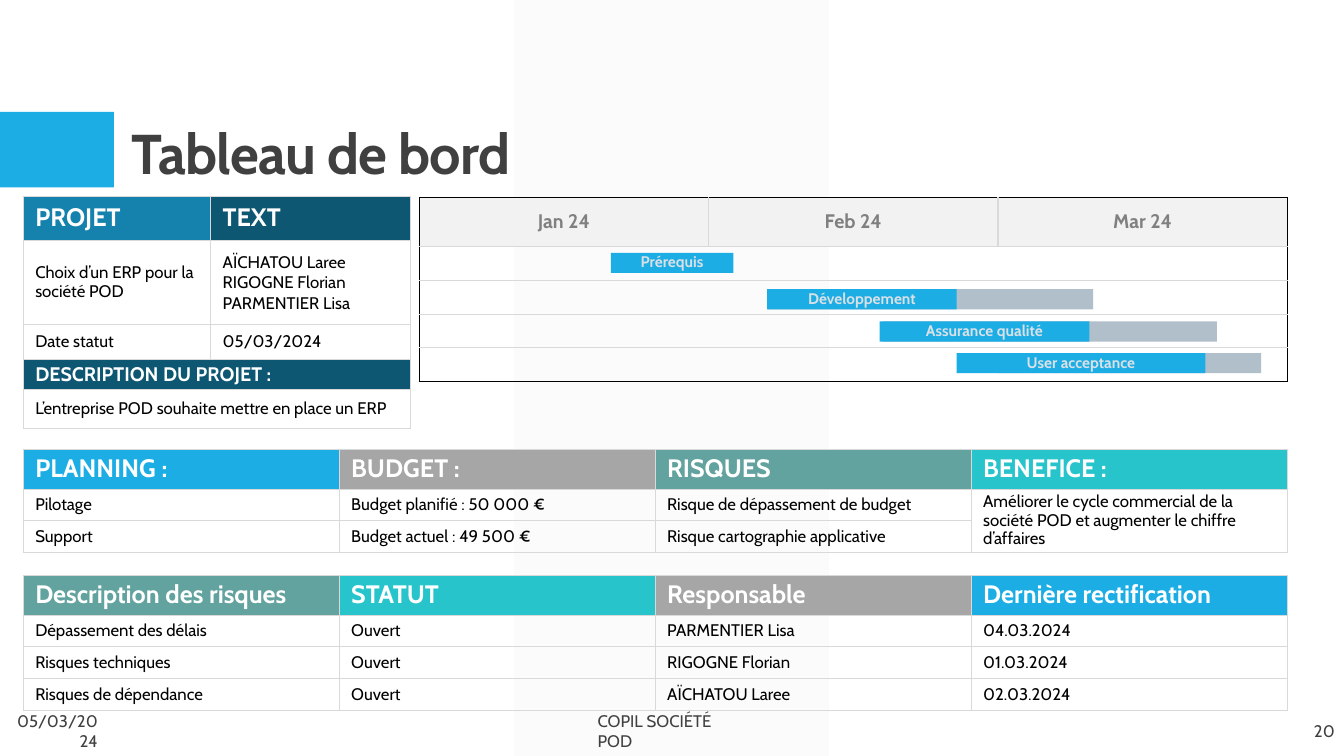
from lxml.etree import SubElement
from pptx import Presentation
from pptx.dml.color import RGBColor
from pptx.enum.shapes import MSO_SHAPE
from pptx.enum.text import MSO_ANCHOR, MSO_AUTO_SIZE, PP_ALIGN
from pptx.oxml.ns import qn
from pptx.util import Pt

COLORS = {
    "blue": "1CADE4", "mid_blue": "1482AC", "navy": "0E5772", "grey": "A6A6A6",
    "sage": "62A39F", "teal": "28C4CC", "light": "F2F2F2", "line": "D9D9D9",
    "month": "808080", "slack": "B1BFCB", "bar_text": "D9E0E6",
    "dark": "404040", "black": "000000", "white": "FFFFFF",
}
FORMATS = {
    "title": {"size": 40, "bold": True, "color": "dark"},
    "heading": {"size": 18, "bold": True, "color": "white"},
    "subheading": {"size": 14, "bold": True, "color": "white"},
    "month": {"size": 14, "bold": True, "color": "month"},
    "body": {"size": 12, "bold": False, "color": "black"},
    "bar": {"size": 11, "bold": True, "color": "bar_text"},
    "footer": {"size": 12, "bold": False, "color": "dark"},
}
SPACED = {"line_spacing": 0.9, "space_after": Pt(10)}
LEFT, MARGIN = 16.6, 8.6


def rgb(name):
    return RGBColor.from_string(COLORS[name])


def write(tf, text, style, **paragraph):
    p = tf.paragraphs[0]
    for name, value in paragraph.items():
        setattr(p, name, value)
    r = p.add_run()
    r.text = text
    f = FORMATS[style]
    values = {"name": "Cabin", "size": Pt(f["size"]), "bold": f["bold"]}
    for name, value in values.items():
        setattr(r.font, name, value)
    r.font.color.rgb = rgb(f["color"])
    return r


def add_block(shapes, box, color, kind=MSO_SHAPE.RECTANGLE):
    sp = shapes.add_shape(kind, *map(Pt, box))
    sp.shadow.inherit = False
    sp.fill.solid()
    sp.fill.fore_color.rgb = rgb(color)
    sp.line.fill.background()
    return sp


def add_band(s):
    sp = add_block(s.shapes, (367, 0, 225, 540), "light", MSO_SHAPE.PARALLELOGRAM)
    sp.adjustments[0] = 0
    color = sp.fill._xPr.find(qn("a:solidFill"))[0]
    SubElement(color, qn("a:alpha"), val="30000")


def set_borders(cell, colors):
    tcPr = cell._tc.get_or_add_tcPr()
    for side, color in zip("LRTB", colors):
        ln = SubElement(tcPr, qn(f"a:ln{side}"), w=str(Pt(1)))
        if color:
            fill = SubElement(ln, qn("a:solidFill"))
            SubElement(fill, qn("a:srgbClr"), val=COLORS[color])
        else:
            SubElement(ln, qn("a:noFill"))


def set_cell(cell, text, style, fill, margins, align):
    for side, value in zip(("left", "top", "right", "bottom"), margins):
        setattr(cell, f"margin_{side}", Pt(value))
    cell.vertical_anchor = MSO_ANCHOR.MIDDLE
    if fill:
        cell.fill.solid()
        cell.fill.fore_color.rgb = rgb(fill)
    else:
        cell.fill.background()
    if text:
        write(cell.text_frame, text, style, alignment=align, **SPACED)
    else:
        end = cell.text_frame.paragraphs[0]._p.get_or_add_endParaRPr()
        end.set("sz", "1200")


def grid_borders(row, col, rows, cols):
    return ["line"] * 4


def gantt_borders(row, col, rows, cols):
    inner = None if row else "line"
    return ["black" if col == 0 else inner,
            "black" if col == cols - 1 else inner,
            "black" if row == 0 else "line",
            "black" if row == rows - 1 else "line"]


def add_table(s, at, widths, heights, rows, styles, fills, margins,
              borders=grid_borders, merges=(), align=PP_ALIGN.LEFT):
    size = len(heights), len(widths)
    t = s.shapes.add_table(*size, *map(Pt, (*at, sum(widths), sum(heights)))).table
    t.first_row = t.horz_banding = False
    for col, width in zip(t.columns, widths):
        col.width = Pt(width)
    for row, height in zip(t.rows, heights):
        row.height = Pt(height)
    for i, row in enumerate(rows):
        for j, text in enumerate(row):
            cell = t.cell(i, j)
            set_borders(cell, borders(i, j, *size))
            fill = fills[i][j] if i in fills else None
            set_cell(cell, text, styles.get(i, "body"), fill, margins, align)
    for first, last in merges:
        t.cell(*first).merge(t.cell(*last))
    return t


def add_bar(s, label, top, left, width, slack=None):
    shapes = s.shapes
    if slack:
        shapes = s.shapes.add_group_shape().shapes
        add_block(shapes, (slack[0], top, slack[1], 14.4), "slack")
    sp = add_block(shapes, (left, top, width, 14.4), "blue")
    tf = sp.text_frame
    tf.word_wrap = False
    tf.vertical_anchor = MSO_ANCHOR.MIDDLE
    write(tf, label, "bar", alignment=PP_ALIGN.CENTER, **SPACED)


def add_footer(s, text, left, width, align):
    tf = s.shapes.add_textbox(*map(Pt, (left, 507.6, width, 28.8))).text_frame
    tf.word_wrap = True
    tf.vertical_anchor = MSO_ANCHOR.MIDDLE
    write(tf, text, "footer", alignment=align)


def set_title(s, text):
    sp = s.shapes.title
    box = {"left": 86.4, "top": 22.3, "width": 792, "height": 114.5}
    for name, value in box.items():
        setattr(sp, name, Pt(value))
    tf = sp.text_frame
    tf.auto_size = MSO_AUTO_SIZE.NONE
    tf.vertical_anchor = MSO_ANCHOR.BOTTOM
    r = write(tf, text, "title", alignment=PP_ALIGN.LEFT, line_spacing=0.9)
    r.font._rPr.set("spc", "-50")
    s.shapes._spTree.append(sp._element)


def main():
    prs = Presentation()
    prs.slide_width, prs.slide_height = Pt(960), Pt(540)
    s = prs.slides.add_slide(prs.slide_layouts[5])
    add_band(s)
    add_block(s.shapes, (0, 79.9, 81.4, 54), "blue")

    project = add_table(
        s, (LEFT, 140.4), (133.9, 142.6), (31.5, 60, 25.2, 21.3, 27.6),
        [("PROJET", "TEXT"),
         ("Choix d’un ERP pour la société POD",
          "AÏCHATOU Laree RIGOGNE Florian PARMENTIER Lisa"),
         ("Date statut", "05/03/2024"),
         ("DESCRIPTION DU PROJET :", None),
         ("L’entreprise POD souhaite mettre en place un ERP", None)],
        {0: "heading", 3: "subheading"},
        {0: ("mid_blue", "navy"), 3: ("navy", "navy")},
        (MARGIN, 0, MARGIN, 0), merges=[((3, 0), (3, 1)), ((4, 0), (4, 1))])
    project.cell(1, 1).text_frame.paragraphs[0].line_spacing = 1.0

    add_table(s, (299.5, 141), [206.7] * 3, [35.2] + [24.1] * 4,
              [("Jan 24", "Feb 24", "Mar 24")] + [(None,) * 3] * 4,
              {0: "month"}, {0: ["light"] * 3}, (5.8, 2.9, 5.8, 2.9),
              borders=gantt_borders, align=PP_ALIGN.CENTER)
    add_bar(s, "Développement", 206.6, 548, 135.4, (548.6, 232.2))
    add_bar(s, "Prérequis", 180.6, 436.3, 87.6)
    add_bar(s, "Assurance qualité", 229.6, 628.3, 149.8, (630.7, 238.6))
    add_bar(s, "User acceptance", 252.2, 683.3, 177.8, (712.8, 188))

    quarters, margins = [225.7] * 4, (MARGIN, 2.9, MARGIN, 2.9)
    add_table(s, (LEFT, 321), quarters, [28.4] + [22.6] * 2,
              [("PLANNING :", "BUDGET :", "RISQUES", "BENEFICE :"),
               ("Pilotage", "Budget planifié : 50 000 €",
                "Risque de dépassement de budget",
                "Améliorer le cycle commercial de la société POD "
                "et augmenter le chiffre d’affaires"),
               ("Support", "Budget actuel : 49 500 €",
                "Risque cartographie applicative", None)],
              {0: "heading"}, {0: ("blue", "grey", "sage", "teal")}, margins,
              merges=[((1, 3), (2, 3))])
    add_table(s, (LEFT, 411), quarters, [28.4] + [22.7] * 3,
              [("Description des risques", "STATUT", "Responsable",
                "Dernière rectification"),
               ("Dépassement des délais", "Ouvert", "PARMENTIER Lisa", "04.03.2024"),
               ("Risques techniques", "Ouvert", "RIGOGNE Florian", "01.03.2024"),
               ("Risques de dépendance", "Ouvert", "AÏCHATOU Laree", "02.03.2024")],
              {0: "heading"}, {0: ("sage", "teal", "grey", "blue")}, margins)

    set_title(s, "Tableau de bord")
    add_footer(s, "20", 920.2, 40.3, PP_ALIGN.RIGHT)
    add_footer(s, "COPIL SOCIÉTÉ POD", 419.8, 120.2, PP_ALIGN.LEFT)
    add_footer(s, "05/03/2024", 0, 77, PP_ALIGN.RIGHT)
    prs.save("out.pptx")


if __name__ == "__main__":
    main()
